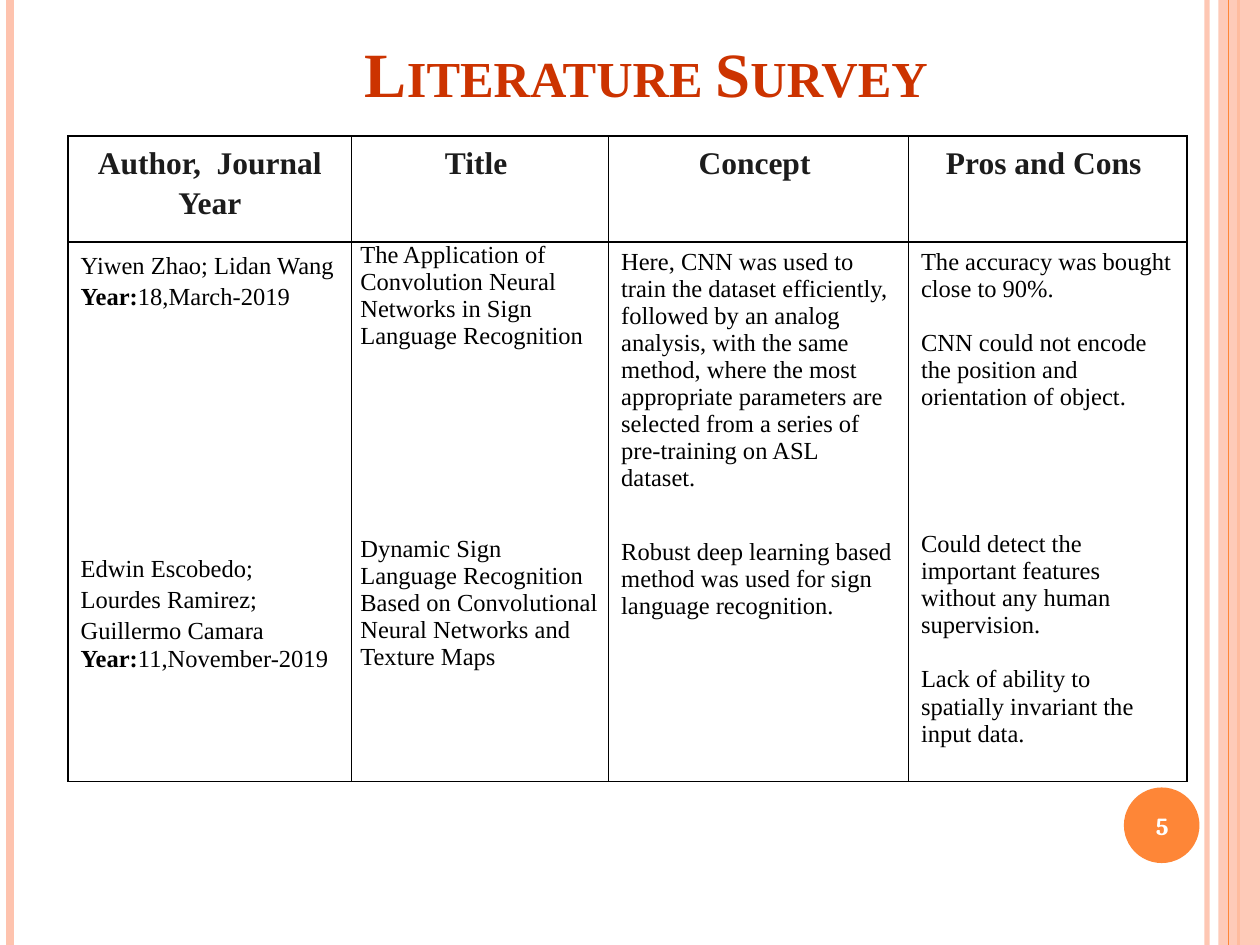
from lxml import etree
from pptx import Presentation
from pptx.dml.color import RGBColor
from pptx.enum.shapes import MSO_CONNECTOR, MSO_SHAPE
from pptx.enum.text import MSO_ANCHOR, PP_ALIGN
from pptx.oxml import parse_xml
from pptx.oxml.ns import nsdecls, qn
from pptx.util import Inches, Pt

STRAIGHT = MSO_CONNECTOR.STRAIGHT
RECT, OVAL = MSO_SHAPE.RECTANGLE, MSO_SHAPE.OVAL
CENTER, LEFT = PP_ALIGN.CENTER, PP_ALIGN.LEFT
MIDDLE, BOTTOM = MSO_ANCHOR.MIDDLE, MSO_ANCHOR.BOTTOM
SERIF = "Times New Roman"
PEACH, ORANGE, BLACK = "FEC3AE", "FE8637", "000000"
WIDTHS = [2.25, 2.04, 2.38, 2.21]
HEIGHTS = [0.84, 4.25]
HEADS = ["Author,  Journal Year", "Title ", "Concept ", "Pros and Cons "]

# Each paragraph: bold lead, text, space before in points, line spacing.
BODY = [
    [("", "Yiwen Zhao; Lidan Wang", 0, 1.15),
     ("Year:", "18,March-2019", 0, 1.15),
     ("", "Edwin Escobedo; Lourdes Ramirez; Guillermo Camara", 138, 1.15),
     ("Year:", "11,November-2019", 0, 1)],
    [("", "The Application of Convolution Neural Networks in Sign "
      "Language Recognition", 0, 1),
     ("", "Dynamic Sign Language Recognition Based on Convolutional "
      "Neural Networks and Texture Maps", 106, 1)],
    [("", "Here, CNN was used to train the dataset efficiently, followed by "
      "an analog analysis, with the same method, where the most appropriate "
      "parameters are selected from a series of pre-training on ASL dataset.",
      0, 1),
     ("", "Robust deep learning based method was used for sign language "
      "recognition.", 26.5, 1)],
    [("", "The accuracy was bought close to 90%.", 0, 1),
     ("", "CNN could not encode the position and orientation of object.",
      15.5, 1),
     ("", "Could detect the important features without any human "
      "supervision.", 68.5, 1),
     ("", "Lack of ability to spatially invariant the input data.", 15.5, 1)],
]


def paint(fill, color, alpha=100):
    """Fill with a solid hex colour at a given opacity in percent."""
    fill.solid()
    fill.fore_color.rgb = RGBColor.from_string(color)
    if alpha < 100:
        tone = fill._xPr.find(".//" + qn("a:srgbClr"))
        etree.SubElement(tone, qn("a:alpha")).set("val", str(alpha * 1000))


def add_rule(slide, x, color, width, alpha=100):
    """Draw a full-height vertical line."""
    line = slide.shapes.add_connector(
        STRAIGHT, Inches(x), 0, Inches(x), Inches(7.5))
    paint(line.line.fill, color, alpha)
    line.line.width = Pt(width)
    etree.SubElement(line._element.spPr, qn("a:effectLst"))


def add_block(slide, kind, box, color, alpha=100):
    """Draw a filled shape without outline."""
    shape = slide.shapes.add_shape(kind, *map(Inches, box))
    shape.shadow.inherit = False
    paint(shape.fill, color, alpha)
    shape.line.fill.background()


def style(run, size, color, bold=False, font=SERIF):
    """Set the font of a run."""
    run.font.name = font
    run.font.size = Pt(size)
    run.font.bold = bold
    run.font.color.rgb = RGBColor.from_string(color)


def add_label(slide, box, text, anchor, size, color, font=SERIF):
    """Add a centred bold text box and return its paragraph."""
    frame = slide.shapes.add_textbox(*map(Inches, box)).text_frame
    frame.word_wrap = True
    frame.vertical_anchor = anchor
    frame.text = text
    para = frame.paragraphs[0]
    para.alignment = CENTER
    style(para.runs[0], size, color, True, font)
    return para


def frame_cell(cell, inset):
    """Clear the fill, set the margins and draw black borders."""
    cell.fill.background()
    cell.margin_left = cell.margin_right = Inches(inset[0])
    cell.margin_top = cell.margin_bottom = Inches(inset[1])
    props = cell._tc.get_or_add_tcPr()
    for spot, side in enumerate("LRTB"):
        props.insert(spot, parse_xml(
            f'<a:ln{side} {nsdecls("a")} w="12700"><a:solidFill>'
            f'<a:srgbClr val="{BLACK}"/></a:solidFill></a:ln{side}>'))


def fill_head(cell, text):
    """Write a header cell."""
    frame_cell(cell, (0.07, 0.04))
    cell.text_frame.text = text
    para = cell.text_frame.paragraphs[0]
    para.alignment = CENTER
    para.line_spacing = 1.15
    style(para.runs[0], 18, "1C1C1C", True)


def fill_body(cell, items, inset):
    """Write the paragraphs of a body cell."""
    frame_cell(cell, inset)
    frame = cell.text_frame
    for spot, (lead, text, gap, pitch) in enumerate(items):
        para = frame.add_paragraph() if spot else frame.paragraphs[0]
        para.alignment = LEFT
        para.space_before = Pt(gap)
        para.line_spacing = pitch
        for part, bold in ((lead, True), (text, False)):
            if part:
                run = para.add_run()
                run.text = part
                style(run, 14, BLACK, bold)


def add_survey(slide):
    """Add the survey table."""
    table = slide.shapes.add_table(
        2, len(WIDTHS), Inches(0.54), Inches(1.08),
        Inches(sum(WIDTHS)), Inches(sum(HEIGHTS))).table
    table.first_row = table.horz_banding = False
    for row, height in zip(table.rows, HEIGHTS):
        row.height = Inches(height)
    for col, width in enumerate(WIDTHS):
        table.columns[col].width = Inches(width)
        fill_head(table.cell(0, col), HEADS[col])
        inset = (0.07, 0) if col == 1 else (0.1, 0.05)
        fill_body(table.cell(1, col), BODY[col], inset)


def main():
    """Build and save the slide."""
    deck = Presentation()
    deck.slide_width, deck.slide_height = Inches(10), Inches(7.5)
    slide = deck.slides.add_slide(deck.slide_layouts[6])
    add_rule(slide, 9.58, PEACH, 3, 93)
    add_rule(slide, 0.08, PEACH, 4.5)
    add_rule(slide, 9.83, ORANGE, 1.5)
    add_block(slide, RECT, (9.67, 0, 0.33, 7.5), PEACH, 87)
    add_rule(slide, 9.75, ORANGE, 0.75)
    add_block(slide, OVAL, (8.92, 6.25, 0.6, 0.6), ORANGE)
    add_label(slide, (8.89, 6.27, 0.67, 0.57), "5", MIDDLE, 14, "FFFFFF",
              "Cambria")
    title = add_label(slide, (0.92, 0.25, 8.52, 0.68), "Literature Survey ",
                      BOTTOM, 36, "CC3300")
    title.line_spacing = 0.9
    title.runs[0]._r.get_or_add_rPr().set("cap", "small")
    add_survey(slide)
    deck.save("out.pptx")


if __name__ == "__main__":
    main()
